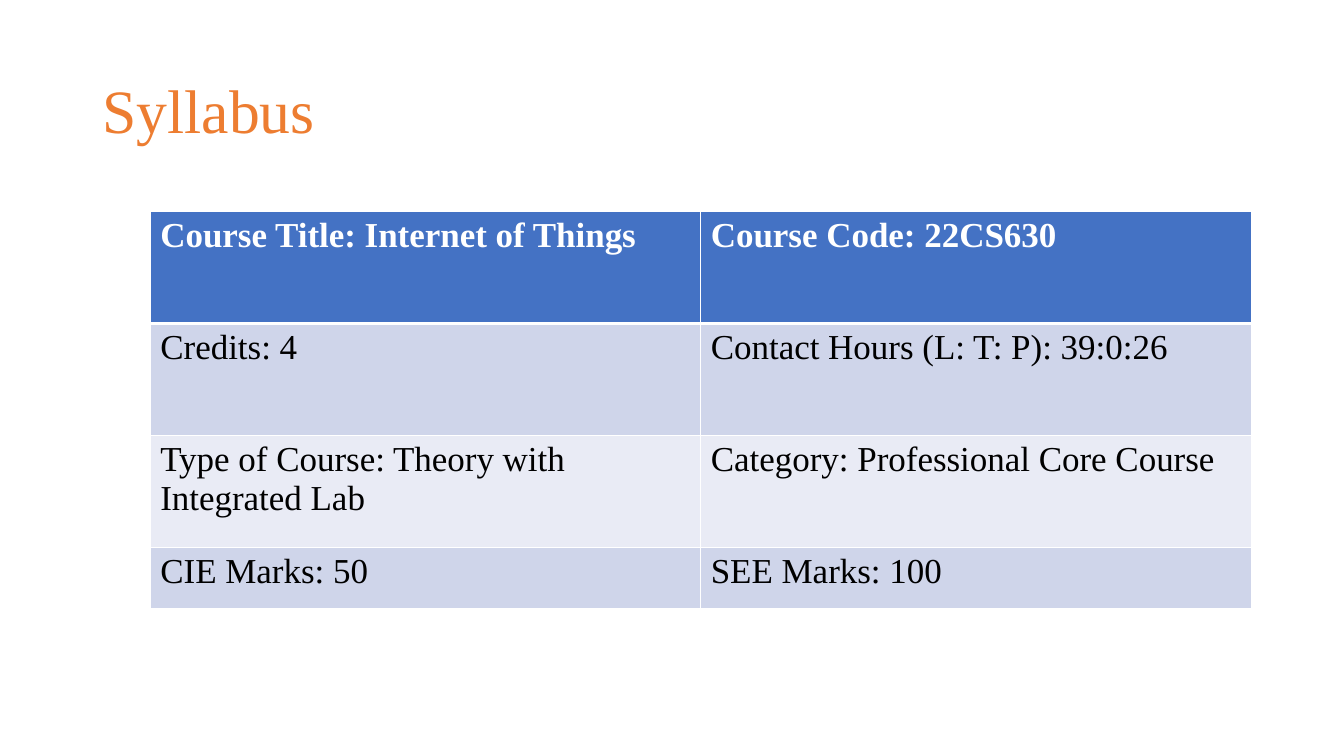
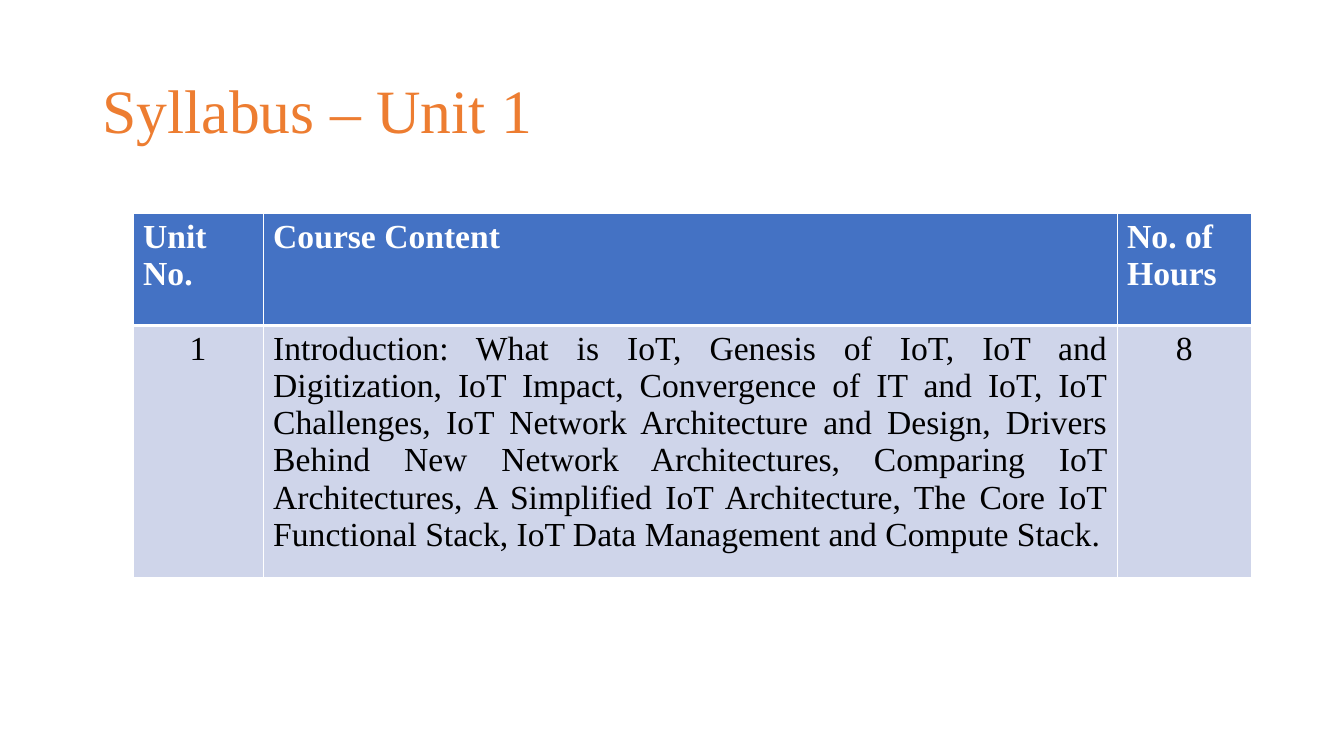
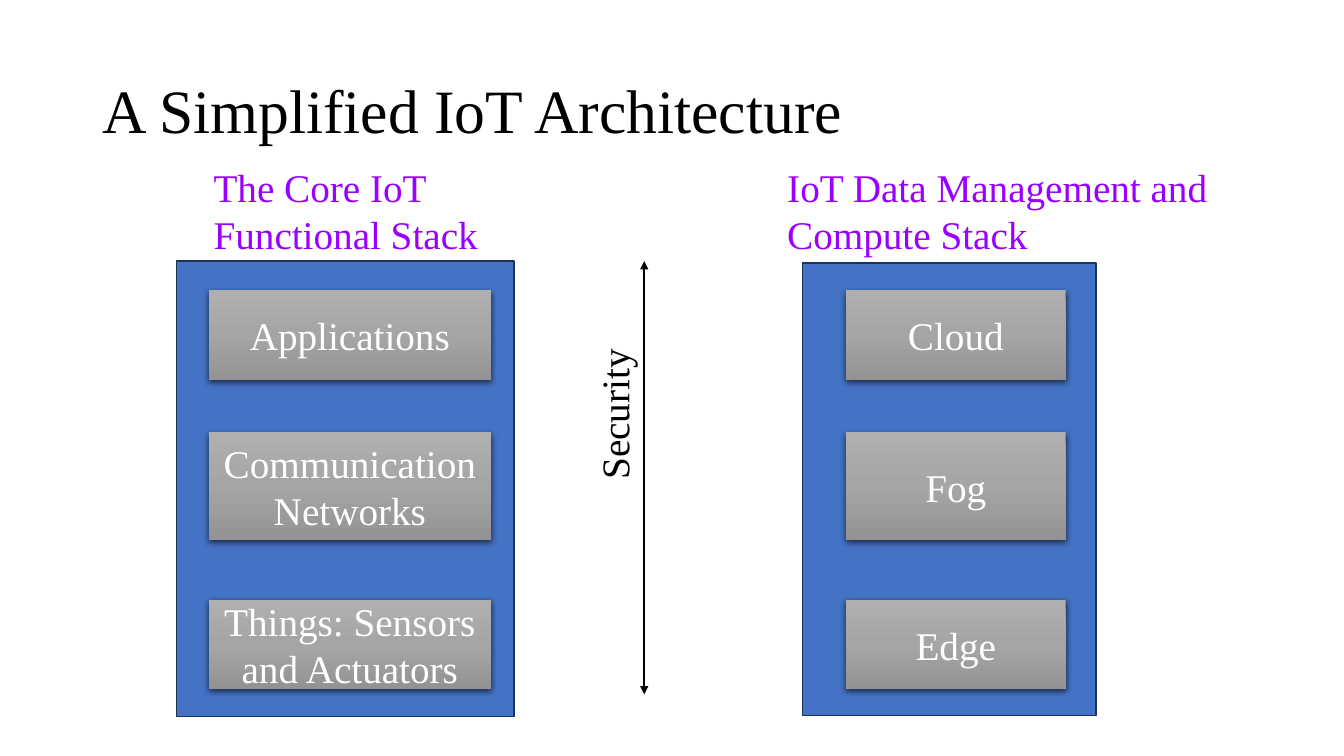
from dataclasses import dataclass
from lxml.etree import SubElement
from pptx import Presentation
from pptx.dml.color import RGBColor as RGB
from pptx.enum.shapes import MSO_CONNECTOR as CONN, MSO_SHAPE as SHAPE
from pptx.enum.text import MSO_ANCHOR as ANCHOR, PP_ALIGN as ALIGN
from pptx.oxml.ns import qn
from pptx.util import Inches, Pt


@dataclass(frozen=True)
class Theme:
    font: str = "Times New Roman"
    orange: str = "ED7D31"
    blue: str = "4472C4"
    navy: str = "1E3256"
    purple: str = "9900FF"
    black: str = "000000"
    white: str = "FFFFFF"
    bands: tuple = ("CFD5EA", "E9EBF5")
    greys: tuple = ((0, "AFAFAF"), (50, "A5A5A5"), (100, "939393"))
    title: int = 44
    label: int = 28
    body: int = 24


T = Theme()

TABLES = [
    dict(
        title="Syllabus", at=(1.49, 2.1), size=25,
        cols=(5.46, 5.46), rows=(1.11, 1.11, 1.11, 0.61),
        aligns=(ALIGN.LEFT, ALIGN.LEFT),
        cells=[
            ("Course Title: Internet of Things", "Course Code: 22CS630"),
            ("Credits: 4", "Contact Hours (L: T: P): 39:0:26"),
            ("Type of Course: Theory with Integrated Lab",
             "Category: Professional Core Course"),
            ("CIE Marks: 50", "SEE Marks: 100"),
        ],
    ),
    dict(
        title="Syllabus – Unit 1", at=(1.32, 2.12), size=T.body,
        cols=(1.29, 8.47, 1.33), rows=(1.11, 2.3),
        aligns=(ALIGN.CENTER, ALIGN.JUSTIFY, ALIGN.CENTER),
        cells=[
            ("Unit No.", "Course Content", "No. of Hours"),
            ("1",
             "Introduction: What is IoT, Genesis of IoT, IoT and Digitization, "
             "IoT Impact, Convergence of IT and IoT, IoT Challenges, IoT Network "
             "Architecture and Design, Drivers Behind New Network Architectures, "
             "Comparing IoT Architectures, A Simplified IoT Architecture, The Core "
             "IoT Functional Stack, IoT Data Management and Compute Stack.",
             "8"),
        ],
    ),
]

ARCHITECTURE = "A Simplified IoT Architecture"
SECURITY = "Security"
LAYER_ROWS = [(2.88, 0.89), (4.29, 1.07), (5.95, 0.89)]
STACKS = [
    dict(heading="The Core IoT Functional Stack", heading_at=(2.02, 1.57, 3.35, 1.04),
         panel=(1.75, 2.59, 3.35, 4.52), left=2.07, width=2.8,
         layers=("Applications", "Communication Networks", "Things: Sensors and Actuators")),
    dict(heading="IoT Data Management and Compute Stack", heading_at=(7.71, 1.57, 4.5, 1.04),
         panel=(7.96, 2.61, 2.91, 4.49), left=8.39, width=2.18,
         layers=("Cloud", "Fog", "Edge")),
]


def inches(values):
    return [Inches(v) for v in values]


def add_xml(parent, tag, **attrs):
    return SubElement(parent, qn(tag), {k: str(v) for k, v in attrs.items()})


def write(tf, text, *, size, color, bold=False, align=ALIGN.LEFT,
          anchor=ANCHOR.TOP, spacing=None):
    tf.word_wrap = True
    tf.vertical_anchor = anchor
    p = tf.paragraphs[0]
    p.alignment = align
    p.line_spacing = spacing
    r = p.add_run()
    r.text = text
    r.font.name, r.font.size, r.font.bold = T.font, Pt(size), bold
    r.font.color.rgb = RGB.from_string(color)


def add_text(slide, at, text, **fmt):
    sp = slide.shapes.add_textbox(*inches(at))
    write(sp.text_frame, text, **fmt)
    return sp


def add_slide(prs, title, color):
    slide = prs.slides.add_slide(prs.slide_layouts[6])
    add_text(slide, (0.92, 0.4, 11.5, 1.45), title, size=T.title, color=color,
             anchor=ANCHOR.MIDDLE, spacing=0.9)
    return slide


def set_borders(cell, header):
    tc_pr = cell._tc.get_or_add_tcPr()
    for side in "LRTB":
        width = Pt(3 if header and side == "B" else 1)
        ln = add_xml(tc_pr, f"a:ln{side}", w=width)
        add_xml(add_xml(ln, "a:solidFill"), "a:srgbClr", val=T.white)


def add_table(slide, at, cols, rows, cells, aligns, size):
    table = slide.shapes.add_table(
        len(rows), len(cols), *inches((*at, sum(cols), sum(rows)))).table
    for column, width in zip(table.columns, cols):
        column.width = Inches(width)
    for i, (height, texts) in enumerate(zip(rows, cells)):
        table.rows[i].height = Inches(height)
        header = i == 0
        for j, text in enumerate(texts):
            cell = table.cell(i, j)
            set_borders(cell, header)
            cell.fill.solid()
            cell.fill.fore_color.rgb = RGB.from_string(
                T.blue if header else T.bands[(i - 1) % 2])
            write(cell.text_frame, text, size=size, bold=header,
                  color=T.white if header else T.black,
                  align=ALIGN.LEFT if header else aligns[j])


def add_rect(slide, at):
    sp = slide.shapes.add_shape(SHAPE.RECTANGLE, *inches(at))
    sp.shadow.inherit = False
    return sp


def add_panel(slide, at):
    sp = add_rect(slide, at)
    sp.fill.solid()
    sp.fill.fore_color.rgb = RGB.from_string(T.blue)
    sp.line.color.rgb = RGB.from_string(T.navy)
    sp.line.width = Pt(1)


def add_layer(slide, at, text):
    sp = add_rect(slide, at)
    sp.fill.gradient()
    sp.fill.gradient_angle = 270
    sp.line.fill.background()
    props = sp._element.spPr
    stops = props.find(".//" + qn("a:gsLst"))
    stops.clear()
    for pos, color in T.greys:
        add_xml(add_xml(stops, "a:gs", pos=pos * 1000), "a:srgbClr", val=color)
    shadow = add_xml(props.find(qn("a:effectLst")), "a:outerShdw", blurRad=Pt(4.5),
                     dist=Pt(1.5), dir=5400000, algn="ctr", rotWithShape=0)
    add_xml(add_xml(shadow, "a:srgbClr", val=T.black), "a:alpha", val=63000)
    write(sp.text_frame, text, size=T.label, color=T.white,
          align=ALIGN.CENTER, anchor=ANCHOR.MIDDLE)


def add_double_arrow(slide, ends):
    line = slide.shapes.add_connector(CONN.STRAIGHT, *inches(ends))
    line.line.color.rgb = RGB.from_string(T.black)
    line.line.width = Pt(1.5)
    ln = line.line._get_or_add_ln()
    for end in ("a:headEnd", "a:tailEnd"):
        add_xml(ln, end, type="triangle")
    add_xml(line._element.spPr, "a:effectLst")


def add_architecture(prs):
    slide = add_slide(prs, ARCHITECTURE, T.black)
    for stack in STACKS:
        add_panel(slide, stack["panel"])
        for (top, height), text in zip(LAYER_ROWS, stack["layers"]):
            add_layer(slide, (stack["left"], top, stack["width"], height), text)
        add_text(slide, stack["heading_at"], stack["heading"],
                 size=T.label, color=T.purple)
    add_double_arrow(slide, (6.39, 2.59, 6.39, 6.89))
    sp = add_text(slide, (5.13, 3.61, 1.92, 0.57), SECURITY,
                  size=T.label, color=T.black)
    sp.rotation = 270


def main():
    prs = Presentation()
    prs.slide_width, prs.slide_height = inches((13.33, 7.5))
    for spec in TABLES:
        slide = add_slide(prs, spec["title"], T.orange)
        add_table(slide, **{k: v for k, v in spec.items() if k != "title"})
    add_architecture(prs)
    prs.save("out.pptx")


if __name__ == "__main__":
    main()
